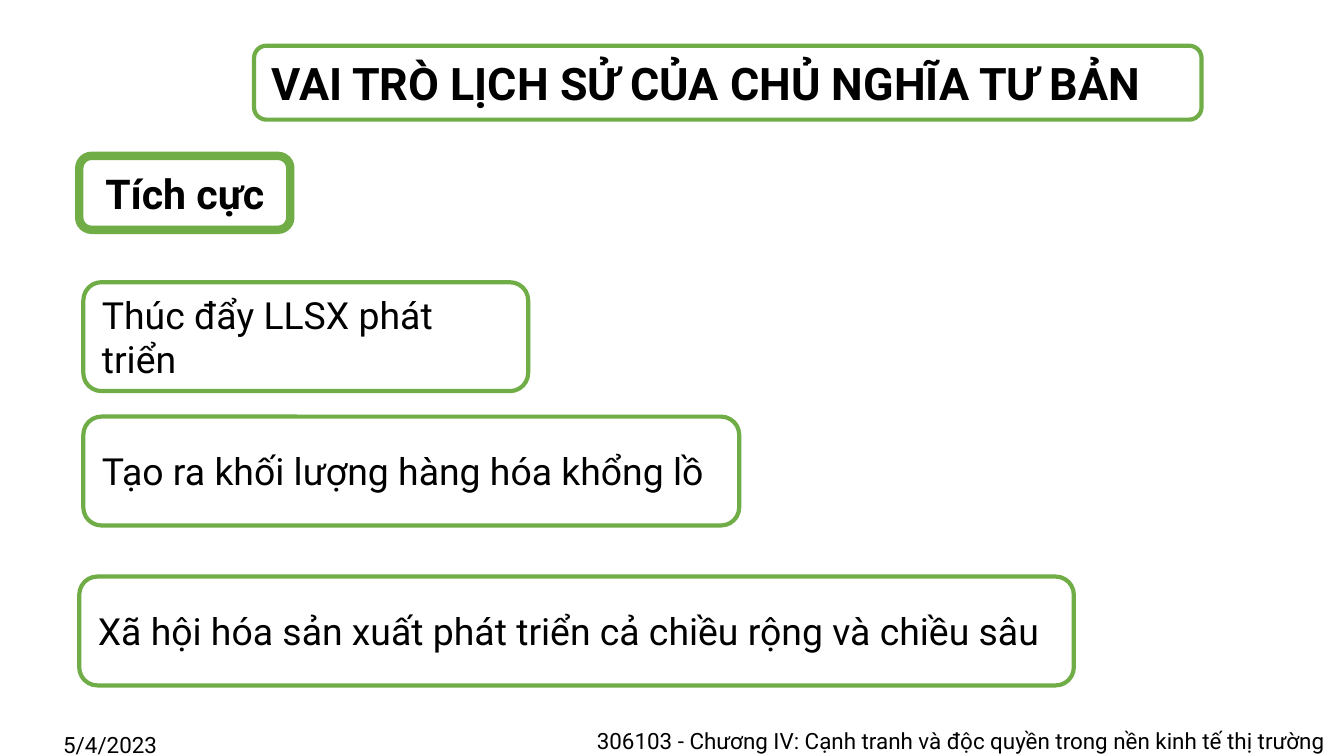
from pptx import Presentation
from pptx.dml.color import RGBColor
from pptx.enum.shapes import MSO_SHAPE as SHAPE
from pptx.enum.text import MSO_ANCHOR as ANCHOR, MSO_AUTO_SIZE as AUTO_SIZE, PP_ALIGN as ALIGN
from pptx.util import Inches, Pt

GREEN, WHITE, BLACK = "70AD47", "FFFFFF", "000000"
FONT = "Roboto"
ROLES = [
    ("Thúc đẩy LLSX phát triển", (0.62, 2.1, 3.31, 0.81)),
    ("Tạo ra khối lượng hàng hóa khổng lồ", (0.62, 3.1, 4.88, 0.81)),
    ("Xã hội hóa sản xuất phát triển cả chiều rộng và chiều sâu", (0.59, 4.29, 7.4, 0.81)),
]


def rgb(color):
    return RGBColor.from_string(color)


def set_text(sp, text, size=20, bold=False, align=ALIGN.LEFT, spacing=1.0):
    tf = sp.text_frame
    tf.word_wrap = True
    tf.auto_size = AUTO_SIZE.NONE
    tf.vertical_anchor = ANCHOR.MIDDLE
    p = tf.paragraphs[0]
    p.alignment = align
    p.line_spacing = spacing
    r = p.add_run()
    r.text = text
    r.font.name = FONT
    r.font.size = Pt(size)
    r.font.bold = bold
    r.font.color.rgb = rgb(BLACK)


def add_frame(s, box, weight=2.25):
    """White rounded rectangle with a green border."""
    sp = s.shapes.add_shape(SHAPE.ROUNDED_RECTANGLE, *map(Inches, box))
    sp.shadow.inherit = False
    sp.fill.solid()
    sp.fill.fore_color.rgb = rgb(WHITE)
    sp.line.color.rgb = rgb(GREEN)
    sp.line.width = Pt(weight)
    return sp


def add_title(s, box, text):
    """Title placeholder in front of a rounded frame."""
    frame = add_frame(s, box)
    sp = s.shapes.title
    sp.left, sp.top, sp.width, sp.height = map(Inches, box)
    sp.text_frame.margin_left = Inches(0.13)
    set_text(sp, text, size=24, bold=True, align=ALIGN.JUSTIFY)
    frame.element.addnext(sp.element)


def add_card(s, box, text, weight=2.25, **fmt):
    set_text(add_frame(s, box, weight), text, **fmt)


def add_footer(s, box, text, align):
    sp = s.shapes.add_textbox(*map(Inches, box))
    set_text(sp, text, size=12, align=align, spacing=0.9)


def main():
    prs = Presentation()
    prs.slide_width = Inches(10)
    prs.slide_height = prs.slide_width * 9 // 16
    s = prs.slides.add_slide(prs.slide_layouts[5])
    add_title(s, (1.89, 0.34, 7.05, 0.55), "VAI TRÒ LỊCH SỬ CỦA CHỦ NGHĨA TƯ BẢN")
    add_card(s, (0.59, 1.16, 1.57, 0.55), "Tích cực", weight=4.5,
             size=22, bold=True, align=ALIGN.CENTER)
    for text, box in ROLES:
        add_card(s, box, text)
    add_footer(s, (0.15, 5.35, 1.34, 0.4), "5/4/2023", ALIGN.CENTER)
    add_footer(s, (3.67, 5.32, 6.29, 0.4),
               "306103 - Chương IV: Cạnh tranh và độc quyền trong nền kinh tế thị trường",
               ALIGN.RIGHT)
    prs.save("out.pptx")


if __name__ == "__main__":
    main()
